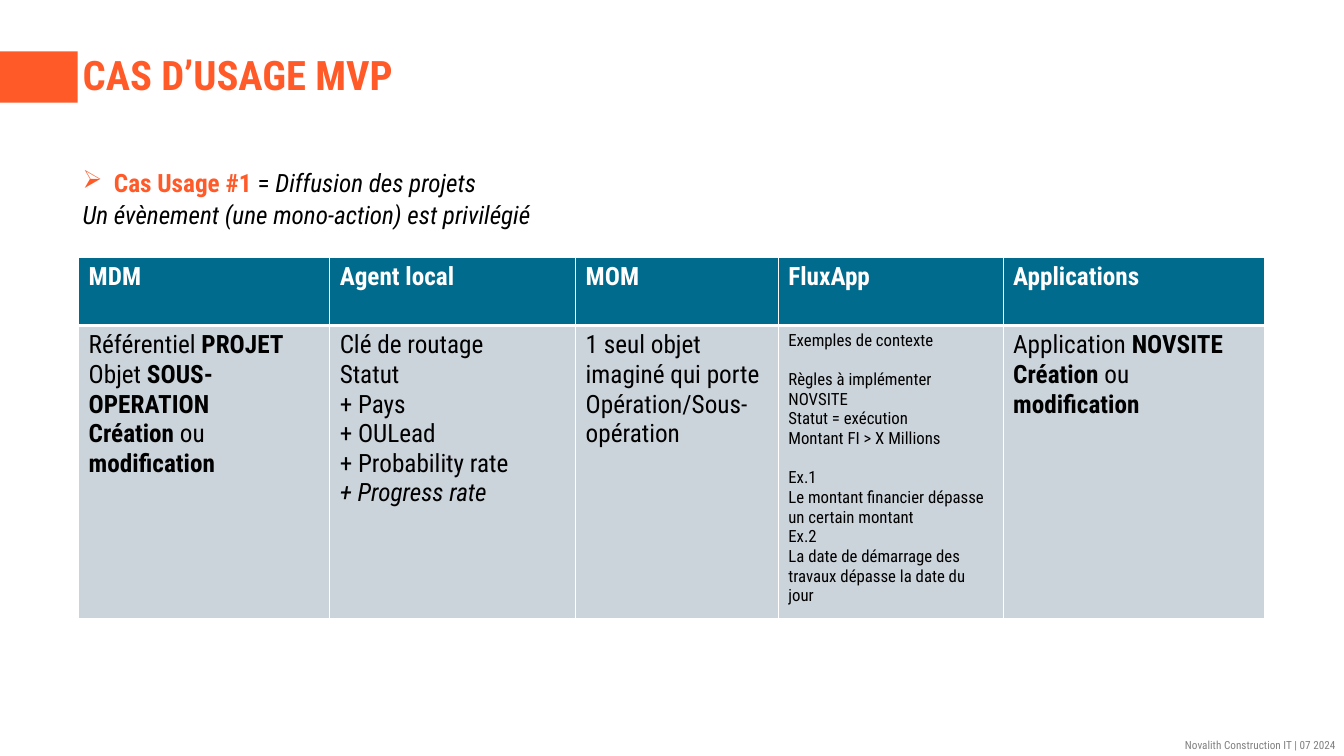
import pptx
import pptx.util
import pptx.dml.color
import pptx.enum.shapes
import pptx.enum.text
import pptx.oxml
import pptx.oxml.ns
import lxml.etree

Inches, Pt = pptx.util.Inches, pptx.util.Pt
FONT = "Roboto Condensed"
ORANGE, TEAL, PALE = "FF5A28", "006B8D", "CCD4DB"
BLACK, WHITE, GREY = "000000", "FFFFFF", "808080"
LEFT, WIDTH = 0.78, 11.76

HEADS = ["MDM", "Agent local", "MOM", "FluxApp", "Applications"]
COLS = [2.49, 2.44, 2.01, 2.23, 2.59]
CHANGE = [("Création", "b"), (" ou ", ""), ("modification", "b")]
# Each cell: text size, paragraphs of (text, style) runs, paragraphs after a gap
BODY = [
    (18, [[("Référentiel ", ""), ("PROJET", "b")],
          [("Objet ", ""), ("SOUS-OPERATION", "b")], CHANGE], ()),
    (18, [[("Clé de routage", "")], [("Statut", "")], [("+ Pays", "")],
          [("+ OULead", "")], [("+ Probability rate", "")],
          [("+ Progress rate", "i")]], ()),
    (18, [[("1 seul objet imaginé qui porte Opération/Sous-opération", "")]], ()),
    (12, [[(line, "")] for line in (
        "Exemples de contexte", "Règles à implémenter", "NOVSITE",
        "Statut = exécution", "Montant FI > X Millions", "Ex.1",
        "Le montant financier dépasse un certain montant", "Ex.2",
        "La date de démarrage des travaux dépasse la date du jour")], (1, 5)),
    (18, [[("Application ", ""), ("NOVSITE", "b")], CHANGE], ()),
]


def color(code):
    return pptx.dml.color.RGBColor.from_string(code)


def add_run(para, text, size, code, style=""):
    run = para.add_run()
    run.text = text
    font = run.font
    font.name, font.size = FONT, Pt(size)
    font.bold, font.italic = "b" in style, "i" in style
    font.color.rgb = color(code)


def add_box(slide, left, top, width, height, runs, middle=False):
    box = slide.shapes.add_textbox(
        Inches(left), Inches(top), Inches(width), Inches(height))
    frame = box.text_frame
    frame.word_wrap = True
    frame.margin_left = frame.margin_right = Inches(0.04)
    frame.margin_top = frame.margin_bottom = 0
    if middle:
        frame.vertical_anchor = pptx.enum.text.MSO_ANCHOR.MIDDLE
    para = frame.paragraphs[0]
    for run in runs:
        add_run(para, *run)
    return para


def add_bullet(para, mark, indent):
    props = para._p.get_or_add_pPr()
    props.set("marL", str(Inches(indent)))
    props.set("indent", str(-Inches(indent)))
    bullet = lxml.etree.SubElement(props, pptx.oxml.ns.qn("a:buChar"))
    bullet.set("char", mark)


def add_edges(cell, top, bottom):
    props = cell._tc.get_or_add_tcPr()
    edges = [("L", 1), ("R", 1), ("T", top), ("B", bottom)]
    for place, (side, width) in enumerate(edges):
        line = pptx.oxml.parse_xml(
            f'<a:ln{side} {pptx.oxml.ns.nsdecls("a")} w="{Pt(width)}">'
            f'<a:solidFill><a:srgbClr val="{WHITE}"/></a:solidFill></a:ln{side}>')
        props.insert(place, line)


def fill_cell(cell, fill, code, size, paras, gaps=(), top=1, bottom=1):
    cell.fill.solid()
    cell.fill.fore_color.rgb = color(fill)
    add_edges(cell, top, bottom)
    frame = cell.text_frame
    for i, runs in enumerate(paras):
        para = frame.add_paragraph() if i else frame.paragraphs[0]
        if i in gaps:
            para.space_before = Pt(14)
        for text, style in runs:
            add_run(para, text, size, code, style)


def add_grid(slide):
    table = slide.shapes.add_table(
        2, len(COLS), Inches(LEFT), Inches(2.55), Inches(WIDTH), Inches(3.59)).table
    table.rows[0].height, table.rows[1].height = Inches(0.68), Inches(2.91)
    for i, (width, head, body) in enumerate(zip(COLS, HEADS, BODY)):
        table.columns[i].width = Inches(width)
        fill_cell(table.cell(0, i), TEAL, WHITE, 18, [[(head, "b")]], bottom=3)
        size, paras, gaps = body
        fill_cell(table.cell(1, i), PALE, BLACK, size, paras, gaps, top=3)


def add_block(slide, left, top, width, height, fill):
    block = slide.shapes.add_shape(
        pptx.enum.shapes.MSO_SHAPE.RECTANGLE,
        Inches(left), Inches(top), Inches(width), Inches(height))
    block.shadow.inherit = False
    block.fill.solid()
    block.fill.fore_color.rgb = color(fill)
    block.line.fill.background()


def main():
    deck = pptx.Presentation()
    deck.slide_width, deck.slide_height = Inches(13.33), Inches(7.5)
    slide = deck.slides.add_slide(deck.slide_layouts[6])

    # Title with its accent block
    add_block(slide, 0, 0.51, 0.77, 0.51, ORANGE)
    title = add_box(slide, LEFT, 0.51, WIDTH, 0.52,
                    [("CAS D’USAGE MVP", 29, ORANGE, "b")], middle=True)
    title.line_spacing = 0.9

    # Use case and its note
    case = add_box(slide, LEFT, 1.66, WIDTH, 0.3, [
        ("Cas Usage #1 ", 18, ORANGE, "b"), ("= ", 18, BLACK),
        ("Diffusion des projets", 18, BLACK, "i")])
    add_bullet(case, "➢", 0.31)
    add_box(slide, LEFT, 1.98, 6.63, 0.3, [
        ("Un évènement (une mono-action) est privilégié", 18, BLACK, "i")])

    # Table of components
    add_grid(slide)

    # Footer
    foot = add_box(slide, 10.02, 7.33, 3.27, 0.13,
                   [("Novalith Construction IT | 07 2024", 8, GREY)], middle=True)
    foot.alignment = pptx.enum.text.PP_ALIGN.RIGHT

    deck.save("out.pptx")


if __name__ == "__main__":
    main()
